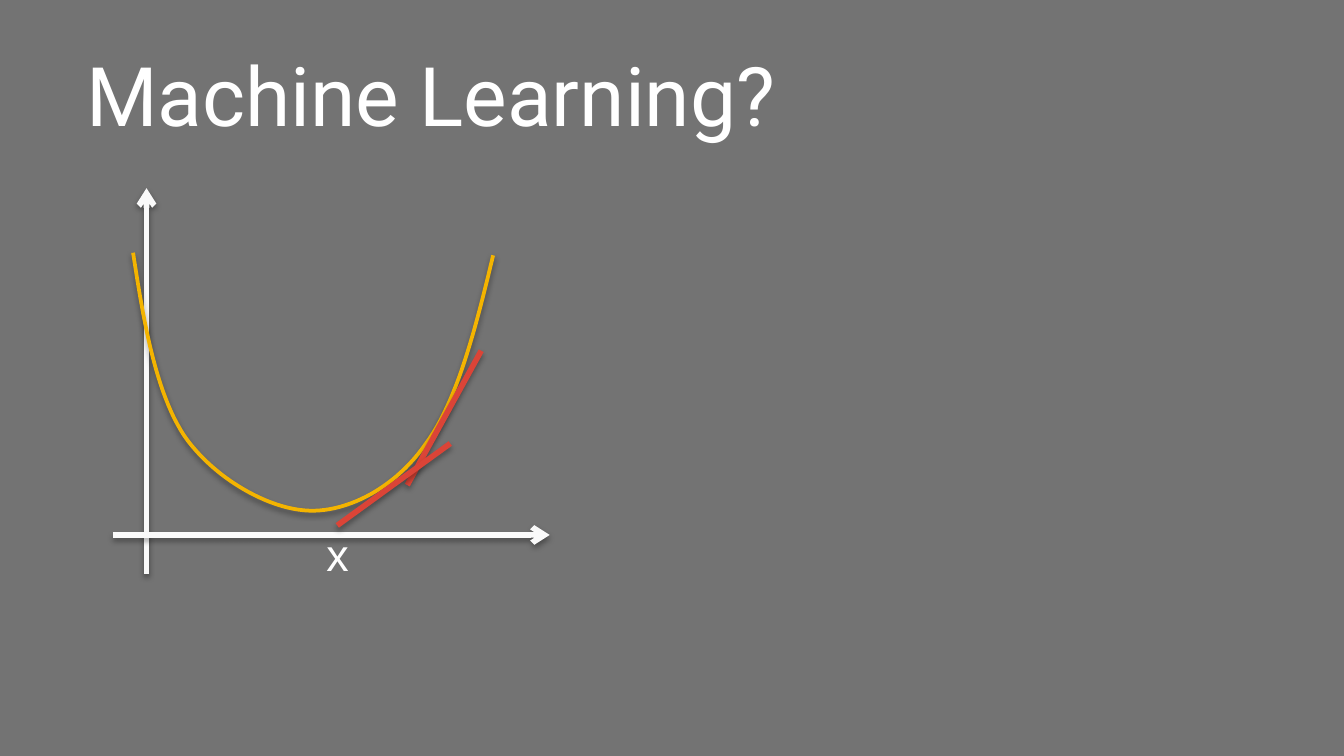
from dataclasses import dataclass

from lxml import etree
from pptx import Presentation
from pptx import util as u
from pptx.dml.color import RGBColor
from pptx.enum import shapes, text
from pptx.oxml import ns

WHITE, AXIS, CURVE, TANGENT = "FFFFFF", "FAFAFA", "F4B400", "DB4437"
STEPS = 24  # straight pieces per Bézier segment
Point = tuple[float, float]


@dataclass
class Stroke:
    start: Point
    end: Point
    color: str
    arrow: bool = False


STROKES_BELOW = [
    Stroke((78.5, 307.4), (78.5, 100.8), AXIS, arrow=True),
    Stroke((60.5, 286.6), (294.5, 286.6), AXIS, arrow=True),
]
TANGENTS = [
    Stroke((218.2, 259.9), (257.8, 187.9), TANGENT),
    Stroke((180.7, 281.5), (241.2, 237.6), TANGENT),
]
# Start point, then two control points and an end point per segment
LOSS_CURVE: list[Point] = [
    (71.3, 135.4),
    (77, 172.8), (83.5, 210.2), (98.6, 233.3),
    (114.5, 256.3), (144, 272.9), (165.6, 273.6),
    (187.2, 274.3), (212.4, 260.6), (228.2, 237.6),
    (244.8, 215.3), (254.9, 175.7), (264.2, 136.8),
]


def rgb(color: str) -> RGBColor:
    return RGBColor.from_string(color)


def style_line(shape, color: str, width: float, opacity: int, distance: float,
               arrow: bool = False) -> None:
    """Set the line, its arrowhead and a soft shadow straight below it."""
    shape.line.color.rgb = rgb(color)
    shape.line.width = u.Pt(width)
    properties = shape._element.spPr
    if arrow:
        line = properties.find(ns.qn("a:ln"))
        etree.SubElement(line, ns.qn("a:tailEnd"), type="arrow")
    effects = etree.SubElement(properties, ns.qn("a:effectLst"))
    shadow = etree.SubElement(
        effects, ns.qn("a:outerShdw"), blurRad=str(u.Pt(3.1)),
        dist=str(u.Pt(distance)), dir="5400000", rotWithShape="0")
    black = etree.SubElement(shadow, ns.qn("a:srgbClr"), val="000000")
    etree.SubElement(black, ns.qn("a:alpha"), val=str(opacity * 1000))


def draw_stroke(slide, stroke: Stroke) -> None:
    ends = [u.Pt(value) for value in (*stroke.start, *stroke.end)]
    connector = slide.shapes.add_connector(shapes.MSO_CONNECTOR.STRAIGHT, *ends)
    style_line(connector, stroke.color, 3, 35, 1.8, stroke.arrow)


def bezier_point(controls: list[Point], t: float) -> Point:
    s = 1 - t
    weights = (s ** 3, 3 * s * s * t, 3 * s * t * t, t ** 3)
    x, y = (sum(w * value for w, value in zip(weights, axis))
            for axis in zip(*controls))
    return u.Pt(x), u.Pt(y)


def draw_curve(slide, points: list[Point]) -> None:
    vertices = [bezier_point(points[first:first + 4], step / STEPS)
                for first in range(0, len(points) - 1, 3)
                for step in range(1, STEPS + 1)]
    start_x, start_y = points[0]
    builder = slide.shapes.build_freeform(u.Pt(start_x), u.Pt(start_y))
    builder.add_line_segments(vertices, close=False)
    curve = builder.convert_to_shape()
    curve.fill.background()
    style_line(curve, CURVE, 2, 38, 1.6)


def write_text(shape, wording: str, size: float, font: str, frame_format: dict) -> None:
    frame = shape.text_frame
    for name, value in frame_format.items():
        setattr(frame, name, value)
    paragraph = frame.paragraphs[0]
    paragraph.text = wording
    paragraph.alignment = text.PP_ALIGN.LEFT
    for name, value in {"size": u.Pt(size), "name": font}.items():
        setattr(paragraph.font, name, value)
    paragraph.font.color.rgb = rgb(WHITE)


def main() -> None:
    presentation = Presentation()
    presentation.slide_width, presentation.slide_height = u.Pt(720), u.Pt(405)
    slide = presentation.slides.add_slide(presentation.slide_layouts[5])
    slide.background.fill.solid()
    slide.background.fill.fore_color.rgb = rgb("737373")

    title = slide.shapes.title
    box = {"left": 38.9, "top": 12.2, "width": 641.5, "height": 75.6}
    for name, value in box.items():
        setattr(title, name, u.Pt(value))
    margins = {f"margin_{side}": u.Pt(7.2)
               for side in ("left", "top", "right", "bottom")}
    write_text(title, "Machine Learning?", 44, "Roboto", {
        **margins, "vertical_anchor": text.MSO_ANCHOR.MIDDLE,
        "auto_size": text.MSO_AUTO_SIZE.NONE})

    for stroke in STROKES_BELOW:
        draw_stroke(slide, stroke)
    draw_curve(slide, LOSS_CURVE)
    label = slide.shapes.add_textbox(u.Pt(167.8), u.Pt(278.6), u.Pt(26.6), u.Pt(36))
    write_text(label, "x", 24, "Arial", {
        "word_wrap": False, "auto_size": text.MSO_AUTO_SIZE.SHAPE_TO_FIT_TEXT})
    for tangent in TANGENTS:
        draw_stroke(slide, tangent)

    presentation.save("out.pptx")


if __name__ == "__main__":
    main()
